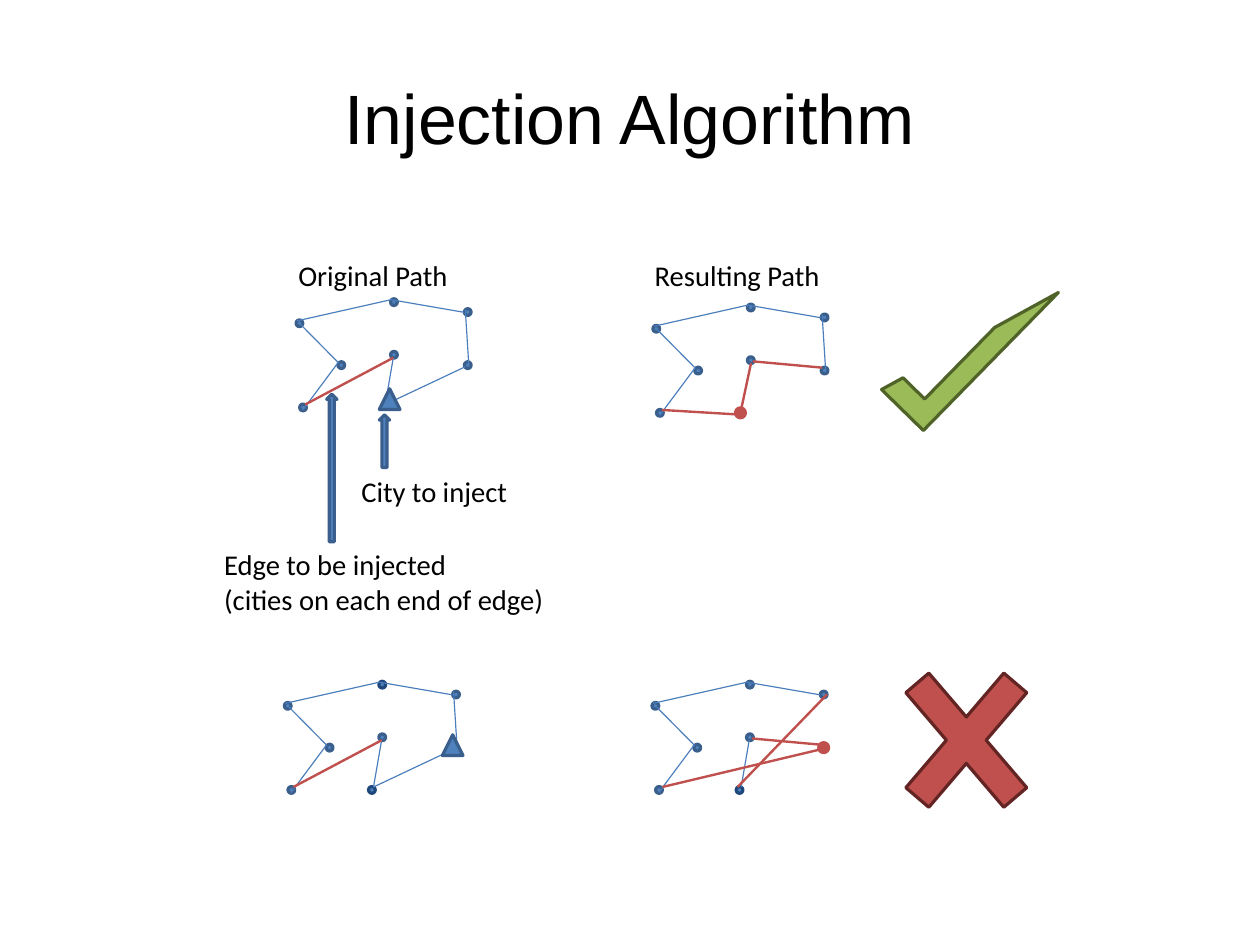
from lxml import etree
from pptx import Presentation
from pptx.dml.color import RGBColor
from pptx.enum.shapes import MSO_CONNECTOR, MSO_SHAPE
from pptx.enum.text import MSO_ANCHOR, MSO_AUTO_SIZE, PP_ALIGN
from pptx.oxml.ns import qn
from pptx.util import Cm, Pt

BLACK = RGBColor(0x00, 0x00, 0x00)
BLUE = RGBColor(0x4F, 0x81, 0xBD)
EDGE = RGBColor(0x4B, 0x7E, 0xBC)
RIM = RGBColor(0x3A, 0x5F, 0x8C)
NAVY = RGBColor(0x1F, 0x49, 0x7D)
RED = RGBColor(0xC0, 0x50, 0x4D)
MAROON = RGBColor(0x63, 0x25, 0x23)
GREEN = RGBColor(0x9B, 0xBB, 0x59)
OLIVE = RGBColor(0x4F, 0x62, 0x28)

DOT = 0.15
TIP = 0.46

# Cities and edges in cm, measured from the west city of each path
CITIES = {
    "west": (0, 0), "top": (2.1, -0.47), "mid": (0.93, 0.93),
    "east": (3.74, 0.93), "north": (3.74, -0.25), "south": (1.87, 1.87),
    "base": (0.08, 1.87), "core": (2.1, 0.7),
}
EDGES = {
    "west-mid": (0.1, 0.1, 0.94, 0.95),
    "top-north": (2.11, -0.45, 3.73, -0.17),
    "top-west": (2.11, -0.45, 0.02, 0.02),
    "mid-base": (0.94, 0.94, 0.15, 2),
    "north-east": (3.76, -0.23, 3.84, 1.04),
    "south-east": (1.98, 1.88, 3.76, 1.04),
    "south-core": (1.98, 1.88, 2.16, 0.84),
    "base-core": (0.2, 1.88, 2.16, 0.84),
    "base-south": (0.2, 1.88, 1.88, 1.98),
    "core-south": (2.18, 0.84, 1.93, 2.01),
    "east-core": (3.76, 0.94, 2.22, 0.8),
    "base-east": (0.23, 1.88, 3.76, 1.04),
    "south-north": (1.9, 1.88, 3.89, -0.18),
}
SHARED = ["west-mid", "top-north", "top-west", "mid-base"]
LOOP = ["north-east", "south-east", "south-core"]

# Origin, missing city, red city, navy cities, more blue edges, red edges
PATHS = [
    ((6.58, 7.11), "south", None, [], LOOP, ["base-core"]),
    ((14.51, 7.23), None, "south", [], ["north-east"],
     ["base-south", "core-south", "east-core"]),
    ((6.32, 15.61), "east", None, ["top", "south"], LOOP, ["base-core"]),
    ((14.49, 15.61), None, "east", ["south"], ["south-core"],
     ["east-core", "base-east", "south-north"]),
]
LABELS = [
    ("City to inject", 7.75, 10.39, 3.84, 1.04),
    ("Edge to be injected\n(cities on each end of edge)", 4.7, 12.01, 7.77, 1.83),
    ("Original Path", 6.35, 5.59, 3.91, 1.04),
    ("Resulting Path", 14.27, 5.59, 4.27, 1.04),
]


def add_form(slide, kind, box, fill=BLUE, rim=RIM, width=2):
    form = slide.shapes.add_shape(kind, *map(Cm, box))
    form.shadow.inherit = False
    form.fill.solid()
    form.fill.fore_color.rgb = fill
    form.line.color.rgb = rim
    form.line.width = Pt(width)
    return form


def add_edge(slide, start, name, color, width):
    left, top = start
    x1, y1, x2, y2 = EDGES[name]
    ends = (left + x1, top + y1, left + x2, top + y2)
    line = slide.shapes.add_connector(MSO_CONNECTOR.STRAIGHT, *map(Cm, ends))
    line.line.color.rgb = color
    line.line.width = Pt(width)
    props = line._element.find(qn("p:spPr"))
    etree.SubElement(props, qn("a:effectLst"))


def add_path(slide, start, gap, hot, dark, blue, red):
    for city, (x, y) in CITIES.items():
        box = (start[0] + x, start[1] + y, DOT, DOT)
        if city == hot:
            add_form(slide, MSO_SHAPE.OVAL, box, RED, RED, 4)
        elif city != gap:
            rim = NAVY if city in dark else RIM
            add_form(slide, MSO_SHAPE.OVAL, box, rim=rim)
    for name in SHARED + blue:
        add_edge(slide, start, name, EDGE, 0.75)
    for name in red:
        add_edge(slide, start, name, RED, 1.5)


def add_label(slide, text, *box):
    label = slide.shapes.add_textbox(*map(Cm, box))
    frame = label.text_frame
    frame.text = text
    frame.word_wrap = False
    frame.auto_size = MSO_AUTO_SIZE.SHAPE_TO_FIT_TEXT
    frame.margin_left = frame.margin_right = Cm(0.28)
    frame.margin_top = frame.margin_bottom = Cm(0.15)
    for para in frame.paragraphs:
        style_font(para, "Calibri", 18)


def style_font(para, name, size):
    for run in para.runs:
        run.font.name = name
        run.font.size = Pt(size)
        run.font.color.rgb = BLACK


def set_title(slide, text):
    title = slide.shapes.title
    title.left, title.top = Cm(1.4), Cm(0.84)
    title.width, title.height = Cm(25.2), Cm(3.5)
    frame = title.text_frame
    frame.text = text
    frame.vertical_anchor = MSO_ANCHOR.MIDDLE
    frame.margin_left = frame.margin_right = 0
    frame.margin_top = frame.margin_bottom = 0
    frame.paragraphs[0].alignment = PP_ALIGN.CENTER
    style_font(frame.paragraphs[0], "Arial", 44)


def add_marks(slide):
    cross = add_form(slide, MSO_SHAPE.MATH_MULTIPLY,
                     (19.38, 14, 4.19, 4.9), RED, MAROON)
    cross.adjustments[0] = 0.16
    check = add_form(slide, MSO_SHAPE.HALF_FRAME,
                     (19.41, 6.93, 4.29, 1.3), GREEN, OLIVE)
    check.adjustments[0] = 0.36
    check.adjustments[1] = 0.4
    check.rotation = 314.4
    check._element.spPr.find(qn("a:xfrm")).set("flipV", "1")


def main():
    deck = Presentation()
    deck.slide_width, deck.slide_height = Cm(28), Cm(21)
    slide = deck.slides.add_slide(deck.slide_layouts[5])
    set_title(slide, "Injection Algorithm")

    # Paths before and after injection
    for path in PATHS:
        add_path(slide, *path)

    # City to inject in each left path
    for left, top in [(8.43, 8.64), (9.83, 16.33)]:
        add_form(slide, MSO_SHAPE.ISOSCELES_TRIANGLE, (left, top, TIP, TIP))

    # Arrows and labels
    for box in [(8.43, 9.22, 0.23, 1.17), (7.26, 8.76, 0.23, 3.28)]:
        add_form(slide, MSO_SHAPE.UP_ARROW, box)
    for label in LABELS:
        add_label(slide, *label)

    # Good and bad results
    add_marks(slide)
    deck.save("out.pptx")


if __name__ == "__main__":
    main()
